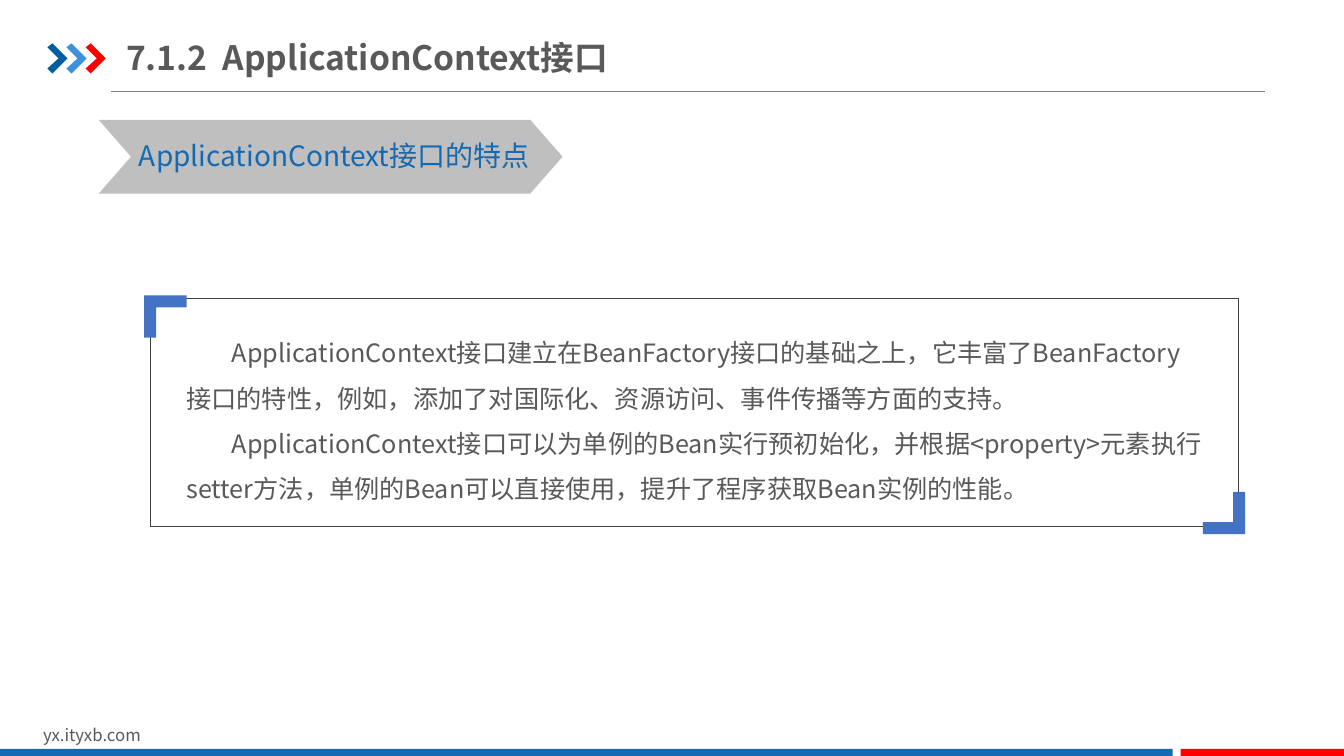
import dataclasses

import lxml.etree
import pptx
import pptx.dml.color
import pptx.enum.shapes
import pptx.enum.text
import pptx.oxml.ns
import pptx.util

Inches = pptx.util.Inches
KINDS = pptx.enum.shapes.MSO_SHAPE


@dataclasses.dataclass(frozen=True)
class Theme:
    """Colours, font and type sizes of the slide."""
    face: str = "Noto Sans CJK SC"
    ink: str = "595959"
    blue: str = "1369B2"
    red: str = "FF0000"
    navy: str = "005DA2"
    sky: str = "3992DB"
    gray: str = "BFBFBF"
    rule: str = "808080"
    frame: str = "404040"
    corner: str = "4472C4"
    title: int = 24
    label: int = 20
    body: int = 18
    foot: int = 12


THEME = Theme()


def color(code):
    """Turn a hex code into a colour."""
    return pptx.dml.color.RGBColor.from_string(code)


def apply(target, values):
    """Set each attribute named in a dict."""
    for name, value in values.items():
        setattr(target, name, value)


def paint(shape, fill=None, line=None, width=0.25):
    """Give a shape a plain fill and outline without shadow."""
    shape.shadow.inherit = False
    if fill:
        shape.fill.solid()
        shape.fill.fore_color.rgb = color(fill)
    else:
        shape.fill.background()
    if line:
        shape.line.color.rgb = color(line)
        shape.line.width = pptx.util.Pt(width)
    else:
        shape.line.fill.background()


def block(slide, kind, box, **look):
    """Add a preset shape in a box."""
    shape = slide.shapes.add_shape(kind, *map(Inches, box))
    paint(shape, **look)
    return shape


def outline(slide, points, fill):
    """Add a closed polygon."""
    spots = [(Inches(x), Inches(y)) for x, y in points]
    maker = slide.shapes.build_freeform(*spots[0])
    maker.add_line_segments(spots[1:], close=True)
    paint(maker.convert_to_shape(), fill)


def write(slide, box, texts, size, ink, bold=False, frame=None, para=None, indent=0):
    """Add a text box with one paragraph per text."""
    area = slide.shapes.add_textbox(*map(Inches, box)).text_frame
    apply(area, {"word_wrap": True, **(frame or {})})
    for index, text in enumerate(texts):
        line = area.paragraphs[0] if index == 0 else area.add_paragraph()
        apply(line, para or {})
        if indent:
            line._p.get_or_add_pPr().set("indent", str(Inches(indent)))
        run = line.add_run()
        run.text = text
        apply(run.font, {"name": THEME.face, "size": pptx.util.Pt(size), "bold": bold})
        run.font.color.rgb = color(ink)
        east = lxml.etree.SubElement(run.font._element, pptx.oxml.ns.qn("a:ea"))
        east.set("typeface", THEME.face)


def header(slide, box, text):
    """Draw the three arrows, the title and the rule below it."""
    left, top, width, height = box
    arrow = [(0, 0.04), (0.05, 0), (0.2, 0.15), (0.05, 0.3), (0, 0.25), (0.11, 0.15)]
    for step, fill in enumerate((THEME.navy, THEME.sky, THEME.red)):
        points = [(left + step * 0.19 + x, top + 0.14 + y) for x, y in arrow]
        outline(slide, points, fill)
    pad = Inches(0.07)
    frame = {"margin_left": 0, "margin_right": 0, "margin_top": pad,
             "margin_bottom": pad,
             "vertical_anchor": pptx.enum.text.MSO_ANCHOR.MIDDLE}
    write(slide, (left + 0.78, top, 4.95, 0.55), [text], THEME.title, THEME.ink,
          bold=True, frame=frame)
    base = Inches(top + height)
    rule = slide.shapes.add_connector(
        pptx.enum.shapes.MSO_CONNECTOR.STRAIGHT,
        Inches(left + 0.63), base, Inches(left + width), base)
    rule.line.color.rgb = color(THEME.rule)
    rule.line.width = pptx.util.Pt(0.5)
    lxml.etree.SubElement(rule._element.spPr, pptx.oxml.ns.qn("a:effectLst"))


def banner(slide, box, text):
    """Draw the chevron with its label."""
    left, top, width, height = box
    shape = block(slide, KINDS.CHEVRON, box, fill=THEME.gray)
    shape.adjustments[0] = 0.438
    write(slide, (left + 0.3, top + 0.14, width - 0.41, height - 0.29), [text],
          THEME.label, THEME.blue, frame={"word_wrap": False})


def panel(slide, box, texts):
    """Draw the framed text with two corner brackets."""
    left, top, width, height = box
    write(slide, (left + 0.26, top + 0.19, width - 0.49, height - 0.41), texts,
          THEME.body, THEME.ink, para={"line_spacing": 1.5}, indent=0.45)
    frame = block(slide, KINDS.ROUNDED_RECTANGLE, box, line=THEME.frame)
    frame.adjustments[0] = 0
    hook = [(0, 0), (0.42, 0), (0.42, 0.12), (0.12, 0.12), (0.12, 0.42), (0, 0.42)]
    ends = ((left - 0.06, top - 0.03, 1), (left + width + 0.07, top + height + 0.08, -1))
    for across, down, sign in ends:
        outline(slide, [(across + sign * x, down + sign * y) for x, y in hook],
                THEME.corner)


def footer(slide, box, text):
    """Draw the web address above the two bars."""
    left, top, width, height = box
    write(slide, (left + 0.33, top, 3.18, 0.3), [text], THEME.foot, THEME.ink)
    bar, split, gap = 0.07, 11.63, 0.08
    base = top + height - bar
    block(slide, KINDS.RECTANGLE, (left, base, split, bar), fill=THEME.blue)
    block(slide, KINDS.RECTANGLE,
          (left + split + gap, base, width - split - gap, bar), fill=THEME.red)


def main():
    """Build and save the slide."""
    deck = pptx.Presentation()
    apply(deck, {"slide_width": Inches(13.33), "slide_height": Inches(7.5)})
    slide = deck.slides.add_slide(deck.slide_layouts[6])
    footer(slide, (0, 7.14, 13.33, 0.36), "yx.ityxb.com")
    header(slide, (0.47, 0.29, 12.08, 0.62), "7.1.2  ApplicationContext接口")
    banner(slide, (0.98, 1.19, 4.6, 0.73), "ApplicationContext接口的特点")
    panel(slide, (1.49, 2.96, 10.79, 2.26), [
        "ApplicationContext接口建立在BeanFactory接口的基础之上，它丰富了BeanFactory"
        "接口的特性，例如，添加了对国际化、资源访问、事件传播等方面的支持。",
        "ApplicationContext接口可以为单例的Bean实行预初始化，并根据<property>元素"
        "执行setter方法，单例的Bean可以直接使用，提升了程序获取Bean实例的性能。",
    ])
    deck.save("out.pptx")


if __name__ == "__main__":
    main()
